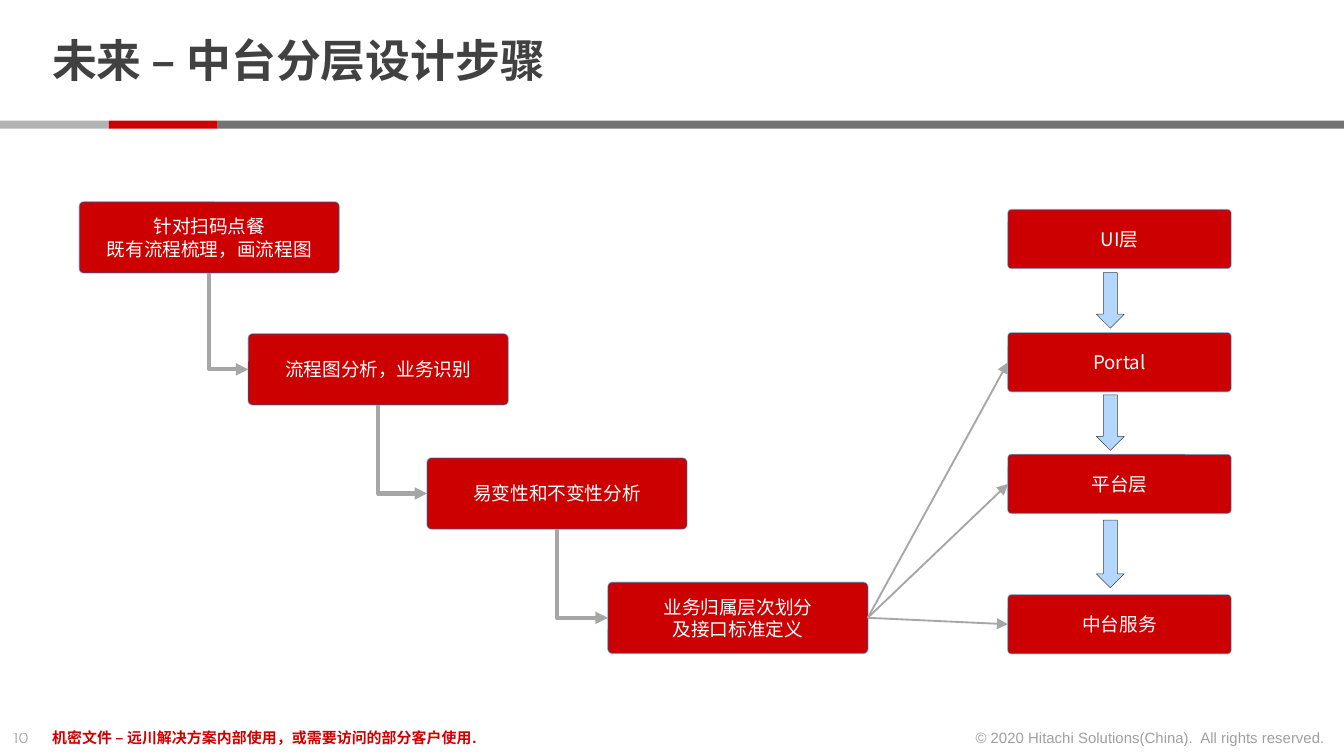
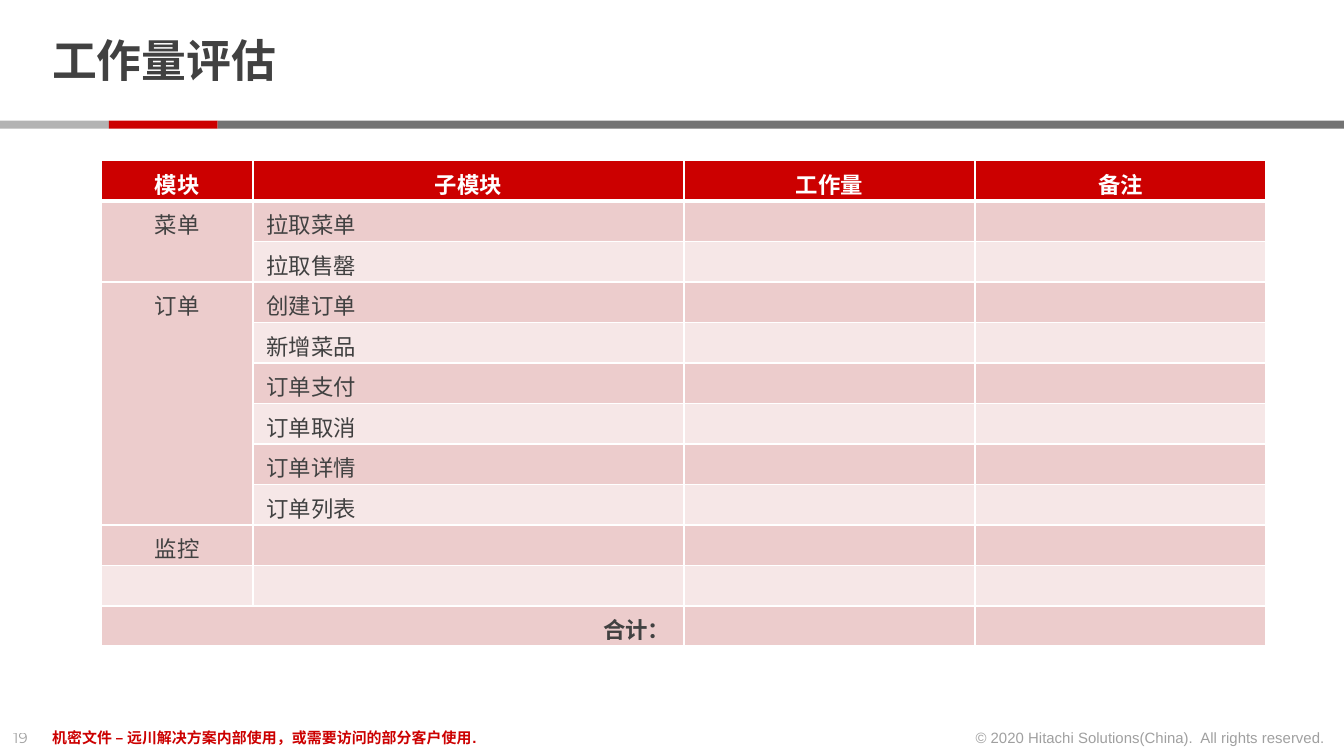
from dataclasses import dataclass
from itertools import pairwise
from typing import Any, NamedTuple

from lxml import etree
from pptx import Presentation
from pptx import util as u
from pptx.dml.color import RGBColor
from pptx.enum import shapes, text
from pptx.oxml import ns

Pt = u.Pt
LEFT, CENTER, RIGHT = text.PP_ALIGN.LEFT, text.PP_ALIGN.CENTER, text.PP_ALIGN.RIGHT


@dataclass(frozen=True)
class Theme:
    red: str = "CC0000"
    ink: str = "414141"
    white: str = "FFFFFF"
    dark_band: str = "737373"
    light_band: str = "B3B3B3"
    box_edge: str = "0070C0"
    arrow: str = "B3D7FF"
    link: str = "A6A6A6"
    stripes: tuple[str, str] = ("F6E7E7", "ECCCCC")
    cjk: str = "Noto Sans CJK SC"
    latin: str = "Arial"
    number: str = "Montserrat"
    title_size: float = 24
    table_size: float = 12
    box_size: float = 10
    footer_size: float = 8


THEME = Theme()


class Area(NamedTuple):
    left: float
    top: float
    width: float
    height: float

    def lengths(self) -> list[int]:
        return [Pt(value) for value in self]


class Style(NamedTuple):
    size: float
    font: str
    color: str
    bold: bool = False
    align: Any = LEFT
    opacity: int = 100
    spacing: float | None = None


@dataclass(frozen=True)
class Label:
    content: str
    area: Area
    style: Style
    frame: dict[str, Any]


@dataclass(frozen=True)
class Box:
    content: str
    area: Area


@dataclass(frozen=True)
class Module:
    name: str
    features: tuple[str, ...]


FREE = {"word_wrap": False, "auto_size": text.MSO_AUTO_SIZE.SHAPE_TO_FIT_TEXT}
GROWING = FREE | {"word_wrap": True}
TITLE_FRAME = {
    "word_wrap": True,
    "vertical_anchor": text.MSO_ANCHOR.MIDDLE,
    "margin_top": 0,
    "margin_bottom": 0,
}
BOX_FRAME = {"word_wrap": True, "vertical_anchor": text.MSO_ANCHOR.MIDDLE}

TITLE = Style(THEME.title_size, THEME.cjk, THEME.ink, True, spacing=0.85)
NUMBER = Style(THEME.footer_size, THEME.number, THEME.ink, opacity=50)
COPYRIGHT = Style(THEME.footer_size, THEME.latin, THEME.ink, align=RIGHT, opacity=50)
NOTICE = Style(THEME.footer_size, THEME.latin, THEME.red, True)
BOX_TEXT = Style(THEME.box_size, THEME.cjk, THEME.white, align=CENTER)
HEAD = Style(THEME.table_size, THEME.latin, THEME.white, True, CENTER)
BODY = Style(THEME.table_size, THEME.latin, THEME.ink)

BANDS = (
    (THEME.light_band, Area(0, 64.6, 58.3, 4.3)),
    (THEME.red, Area(58.3, 64.6, 58.3, 4.3)),
    (THEME.dark_band, Area(116.6, 64.6, 603.4, 4.3)),
)

STEP_SIZE = (139.2, 38)
STEPS = (
    Box("针对扫码点餐\n既有流程梳理，画流程图", Area(42.5, 108.2, *STEP_SIZE)),
    Box("流程图分析，业务识别", Area(133, 178.9, *STEP_SIZE)),
    Box("易变性和不变性分析", Area(228.8, 245.4, *STEP_SIZE)),
    Box("业务归属层次划分\n及接口标准定义", Area(325.7, 312, *STEP_SIZE)),
)
LAYER_SIZE = (119.5, 31.5)
LAYERS = tuple(
    Box(name, Area(540, top, *LAYER_SIZE))
    for name, top in (("UI层", 112.3), ("Portal", 178.3), ("平台层", 243.5), ("中台服务", 318.7))
)
DOWN_ARROWS = tuple(
    Area(587.3, top, 15, height) for top, height in ((146, 29.8), (211.5, 29.8), (278.7, 36.2))
)

HEADINGS = ("模块", "子模块", "工作量", "备注")
COLUMN_WIDTHS = (81.2, 230.8, 156, 156)
ROW_HEIGHT = 21.7
MODULES = (
    Module("菜单", ("拉取菜单", "拉取售罄")),
    Module("订单", ("创建订单", "新增菜品", "订单支付", "订单取消", "订单详情", "订单列表")),
    Module("监控", ("",)),
    Module("", ("",)),
)
TOTAL = "合计："


def assign(target: Any, values: dict[str, Any]) -> None:
    for name, value in values.items():
        setattr(target, name, value)


def rgb(color: str) -> RGBColor:
    return RGBColor.from_string(color)


def add_element(parent: Any, tag: str, **attributes: str) -> Any:
    return etree.SubElement(parent, ns.qn(tag), attributes)


def set_opacity(properties: Any, percent: int) -> None:
    for color in properties.iter(ns.qn("a:srgbClr")):
        add_element(color, "a:alpha", val=str(percent * 1000))


def write(frame: Any, content: str, style: Style) -> None:
    for index, line in enumerate(content.split("\n")):
        paragraph = frame.add_paragraph() if index else frame.paragraphs[0]
        assign(paragraph, {"alignment": style.align, "line_spacing": style.spacing})
        if not line:
            ending = add_element(paragraph._p, "a:endParaRPr", sz=str(int(style.size * 100)))
            for script in ("a:latin", "a:ea"):
                add_element(ending, script, typeface=THEME.cjk)
            continue
        run = paragraph.add_run()
        run.text = line
        assign(run.font, {"size": Pt(style.size), "bold": style.bold, "name": style.font})
        run.font.color.rgb = rgb(style.color)
        properties = run._r.get_or_add_rPr()
        add_element(properties, "a:ea", typeface=THEME.cjk)
        if style.opacity < 100:
            set_opacity(properties, style.opacity)


def draw_label(slide: Any, label: Label) -> None:
    frame = slide.shapes.add_textbox(*label.area.lengths()).text_frame
    assign(frame, label.frame)
    write(frame, label.content, label.style)


def draw_shape(slide: Any, kind: Any, area: Area, fill: str, edge: str = "", width: float = 0) -> Any:
    shape = slide.shapes.add_shape(kind, *area.lengths())
    shape.shadow.inherit = False
    shape.fill.solid()
    shape.fill.fore_color.rgb = rgb(fill)
    if edge:
        shape.line.color.rgb = rgb(edge)
        shape.line.width = Pt(width)
    else:
        shape.line.fill.background()
    return shape


def draw_box(slide: Any, box: Box) -> Any:
    shape = draw_shape(
        slide, shapes.MSO_SHAPE.ROUNDED_RECTANGLE, box.area, THEME.red, THEME.box_edge, 0.75
    )
    shape.adjustments[0] = 0.061
    set_opacity(shape.line._get_or_add_ln(), 40)
    assign(shape.text_frame, BOX_FRAME)
    write(shape.text_frame, box.content, BOX_TEXT)
    return shape


def draw_link(slide: Any, source: Any, target: Any, bent: bool) -> None:
    if bent:
        kind, site, width = shapes.MSO_CONNECTOR.ELBOW, 2, 2.25
        x1, y1 = source.left + source.width // 2, source.top + source.height
    else:
        kind, site, width = shapes.MSO_CONNECTOR.STRAIGHT, 3, 1
        x1, y1 = source.left + source.width, source.top + source.height // 2
    x2, y2 = target.left, target.top + target.height // 2
    link = slide.shapes.add_connector(kind, x1, y1, x2, y2)
    link.begin_connect(source, site)
    link.end_connect(target, 1)
    properties = link._element.spPr
    if bent:
        run, drop = x2 - x1, y2 - y1
        assign(link, {
            "left": (x1 + x2 - drop) // 2,
            "top": (y1 + y2 - run) // 2,
            "width": drop,
            "height": run,
        })
        transform = properties.find(ns.qn("a:xfrm"))
        transform.set("rot", "16200000")
        transform.set("flipH", "1")
        properties.find(ns.qn("a:prstGeom")).set("prst", "bentConnector2")
    link.line.color.rgb = rgb(THEME.link)
    link.line.width = Pt(width)
    add_element(link.line._get_or_add_ln(), "a:tailEnd", type="triangle")
    add_element(properties, "a:effectLst")


def draw_cell(cell: Any, row: int) -> None:
    properties = cell._tc.get_or_add_tcPr()
    widths = {"L": 1, "R": 1, "T": 3 if row == 1 else 1, "B": 3 if row == 0 else 1}
    for side, width in widths.items():
        border = add_element(properties, f"a:ln{side}", w=str(Pt(width)))
        add_element(add_element(border, "a:solidFill"), "a:srgbClr", val=THEME.white)
    cell.fill.solid()
    cell.fill.fore_color.rgb = rgb(THEME.stripes[row % 2] if row else THEME.red)


def start_slide(deck: Any, title: str, number: str) -> Any:
    slide = deck.slides.add_slide(deck.slide_layouts[6])
    for color, area in BANDS:
        draw_shape(slide, shapes.MSO_SHAPE.RECTANGLE, area, color)
    for label in (
        Label(number, Area(0, 387, 24.5, 17), NUMBER, FREE),
        Label("© 2020 Hitachi Solutions(China).  All rights reserved.",
              Area(512.6, 386.9, 204.5, 17), COPYRIGHT, FREE),
        Label("机密文件 – 远川解决方案内部使用，或需要访问的部分客户使用.",
              Area(20.9, 386.9, 485, 17), NOTICE, GROWING),
        Label(title, Area(20.9, 7.9, 555, 52.6), TITLE, TITLE_FRAME),
    ):
        draw_label(slide, label)
    return slide


def build_design_steps(deck: Any) -> None:
    slide = start_slide(deck, "未来 – 中台分层设计步骤", "10")
    layers = [draw_box(slide, layer) for layer in LAYERS]
    for area in DOWN_ARROWS:
        draw_shape(slide, shapes.MSO_SHAPE.DOWN_ARROW, area, THEME.arrow, THEME.ink, 0.25)
    steps = [draw_box(slide, step) for step in STEPS]
    for source, target in pairwise(steps):
        draw_link(slide, source, target, bent=True)
    for layer in layers[1:]:
        draw_link(slide, steps[-1], layer, bent=False)


def build_workload(deck: Any) -> None:
    slide = start_slide(deck, "工作量评估", "19")
    rows = [HEADINGS]
    for module in MODULES:
        rows += [
            ("" if i else module.name, feature, "", "")
            for i, feature in enumerate(module.features)
        ]
    rows.append((TOTAL, "", "", ""))
    last = len(rows) - 1
    area = Area(54.3, 86, sum(COLUMN_WIDTHS), ROW_HEIGHT * len(rows))
    workload = slide.shapes.add_table(len(rows), len(HEADINGS), *area.lengths()).table
    assign(workload, {"first_row": False, "horz_banding": False})
    for column, width in zip(workload.columns, COLUMN_WIDTHS):
        column.width = Pt(width)
    for index, values in enumerate(rows):
        workload.rows[index].height = Pt(ROW_HEIGHT)
        for position, value in enumerate(values):
            style = BODY._replace(align=LEFT if position else CENTER)
            if index == 0:
                style = HEAD
            elif value == TOTAL:
                style = BODY._replace(bold=True, align=RIGHT)
            cell = workload.cell(index, position)
            draw_cell(cell, index)
            write(cell.text_frame, value, style)
    first = 1
    for module in MODULES:
        end = first + len(module.features) - 1
        if end > first:
            workload.cell(first, 0).merge(workload.cell(end, 0))
        first = end + 1
    workload.cell(last, 0).merge(workload.cell(last, 1))


def main() -> None:
    deck = Presentation()
    assign(deck, {"slide_width": Pt(720), "slide_height": Pt(405)})
    build_design_steps(deck)
    build_workload(deck)
    deck.save("out.pptx")


if __name__ == "__main__":
    main()
